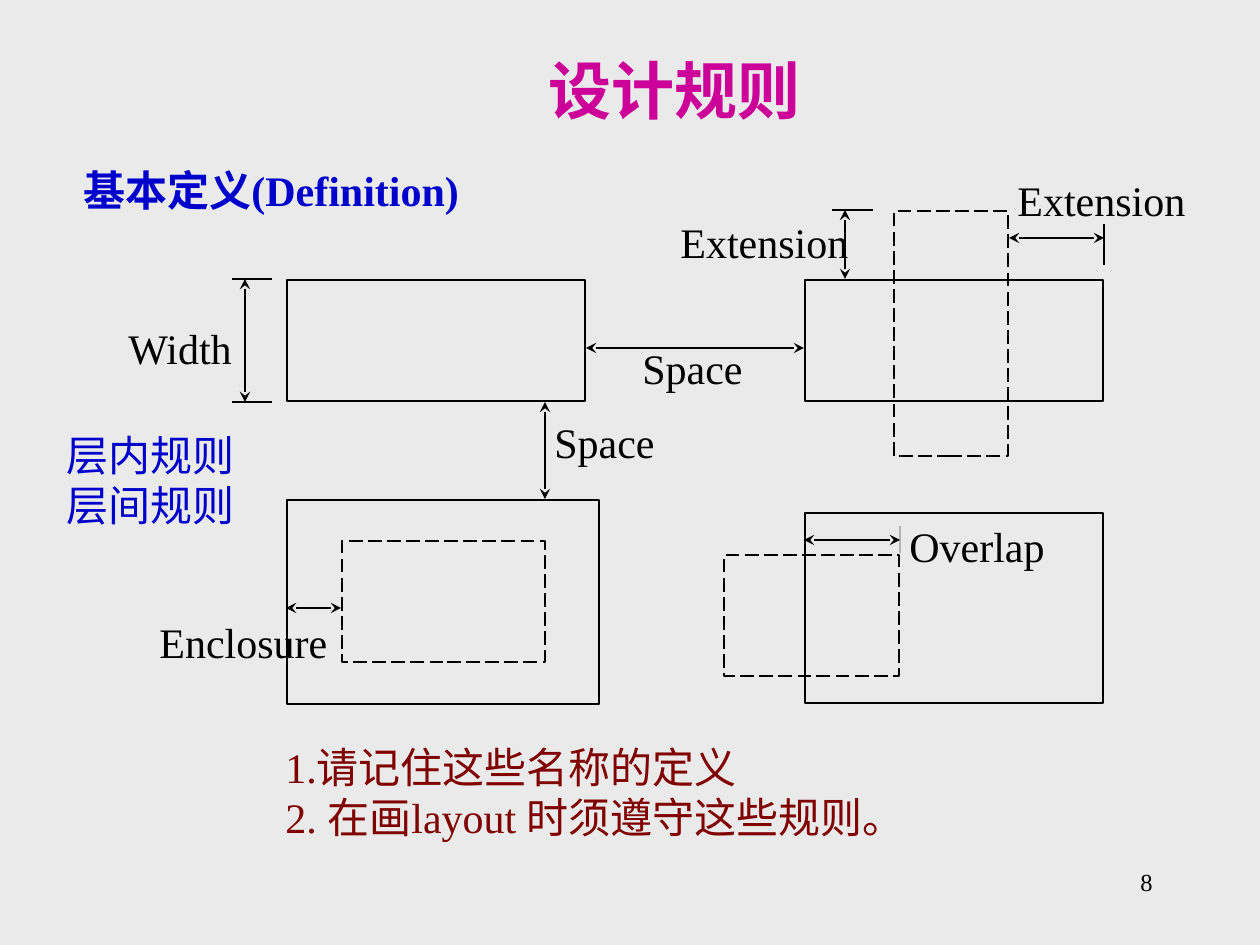
import pptx
import pptx.util
import pptx.dml.color
import pptx.enum.dml
import pptx.enum.shapes
import pptx.enum.text
import pptx.oxml.ns
import lxml.etree

PX = 914400 / 126  # EMU in one px

THEME = {
    "font": "Times New Roman",
    "background": "EAEAEA", "ink": "000000", "tick": "B2B2B2",
    "title": "CC0099", "accent": "0000CC", "note": "800000",
    "title_size": 36, "body_size": 24, "number_size": 14, "line": 1,
}
ALIGN = pptx.enum.text.PP_ALIGN


def emu(*lengths):
    return [pptx.util.Emu(round(length * PX)) for length in lengths]


def write(box, lines, color, size, bold=False, align=ALIGN.LEFT):
    frame = box.text_frame
    frame.text = "\n".join(lines)
    for para in frame.paragraphs:
        para.alignment = align
        for span in para.runs:
            span.font.name = THEME["font"]
            span.font.size = pptx.util.Pt(size)
            span.font.bold = bold
            span.font.color.rgb = pptx.dml.color.RGBColor.from_string(color)


deck = pptx.Presentation()
deck.slide_width, deck.slide_height = emu(1260, 945)
page = deck.slides.add_slide(deck.slide_layouts[5])
page.background.fill.solid()
page.background.fill.fore_color.rgb = pptx.dml.color.RGBColor.from_string(THEME["background"])

# Title
title = page.shapes.title
title.left, title.top, title.width, title.height = emu(301, 53, 746, 73)
write(title, ["设计规则"], THEME["title"], THEME["title_size"], True, ALIGN.CENTER)
title.text_frame.auto_size = pptx.enum.text.MSO_AUTO_SIZE.NONE
title.text_frame.vertical_anchor = pptx.enum.text.MSO_ANCHOR.MIDDLE

# Layout layers: left, top, width, height, dashed
layers = [
    (287, 280, 298, 121, False),
    (805, 280, 298, 121, False),
    (287, 500, 312, 204, False),
    (894, 211, 114, 245, True),
    (342, 541, 203, 121, True),
    (805, 513, 298, 190, False),
    (724, 555, 175, 121, True),
]
for left, top, width, height, dashed in layers:
    layer = page.shapes.add_shape(
        pptx.enum.shapes.MSO_SHAPE.RECTANGLE, *emu(left, top, width, height))
    layer.shadow.inherit = False
    layer.fill.background()
    layer.line.color.rgb = pptx.dml.color.RGBColor.from_string(THEME["ink"])
    layer.line.width = pptx.util.Pt(THEME["line"])
    if dashed:
        layer.line.dash_style = pptx.enum.dml.MSO_LINE.LONG_DASH

# Dimension arrows and end ticks: from x, from y, to x, to y, color, arrow
dimensions = [
    (272, 279, 232, 279, "ink", False),
    (272, 402, 232, 402, "ink", False),
    (245, 279, 245, 402, "ink", True),
    (586, 348, 804, 348, "ink", True),
    (545, 402, 545, 499, "ink", True),
    (873, 210, 832, 210, "ink", False),
    (845, 279, 845, 210, "ink", True),
    (1104, 265, 1104, 224, "ink", False),
    (1104, 238, 1009, 238, "ink", True),
    (286, 608, 341, 608, "ink", True),
    (900, 553, 900, 526, "tick", False),
    (804, 540, 900, 540, "ink", True),
]
for from_x, from_y, to_x, to_y, color, arrow in dimensions:
    dimension = page.shapes.add_connector(
        pptx.enum.shapes.MSO_CONNECTOR.STRAIGHT, *emu(from_x, from_y, to_x, to_y))
    dimension.line.color.rgb = pptx.dml.color.RGBColor.from_string(THEME[color])
    dimension.line.width = pptx.util.Pt(THEME["line"])
    if arrow:
        outline = dimension.line._get_or_add_ln()
        for end in ("a:headEnd", "a:tailEnd"):
            lxml.etree.SubElement(outline, pptx.oxml.ns.qn(end), type="stealth")
    lxml.etree.SubElement(dimension._element.spPr, pptx.oxml.ns.qn("a:effectLst"))

# Labels and notes: lines, left, top, width, height, color, bold, wrap
texts = [
    (["基本定义(Definition)"], 71, 158, 411, 63, "accent", True, False),
    (["Width"], 116, 316, 131, 63, "ink", False, False),
    (["Space"], 630, 336, 126, 63, "ink", False, False),
    (["Space"], 542, 410, 126, 63, "ink", False, False),
    (["Enclosure"], 147, 610, 194, 63, "ink", False, False),
    (["Extension"], 668, 210, 194, 63, "ink", False, False),
    (["Extension"], 1005, 168, 194, 63, "ink", False, False),
    (["Overlap"], 897, 514, 161, 63, "ink", False, False),
    (["1.请记住这些名称的定义", "2. 在画layout 时须遵守这些规则。"],
     273, 735, 777, 113, "note", False, True),
    (["层内规则", "层间规则"], 54, 423, 218, 113, "accent", False, True),
]
for lines, left, top, width, height, color, bold, wrap in texts:
    box = page.shapes.add_textbox(*emu(left, top, width, height))
    box.text_frame.word_wrap = wrap
    box.text_frame.auto_size = pptx.enum.text.MSO_AUTO_SIZE.SHAPE_TO_FIT_TEXT
    write(box, lines, THEME[color], THEME["body_size"], bold)

# Page number
number = page.shapes.add_textbox(*emu(903, 861, 262, 63))
number.text_frame.word_wrap = True
write(number, ["8"], THEME["ink"], THEME["number_size"], align=ALIGN.RIGHT)

deck.save("out.pptx")
